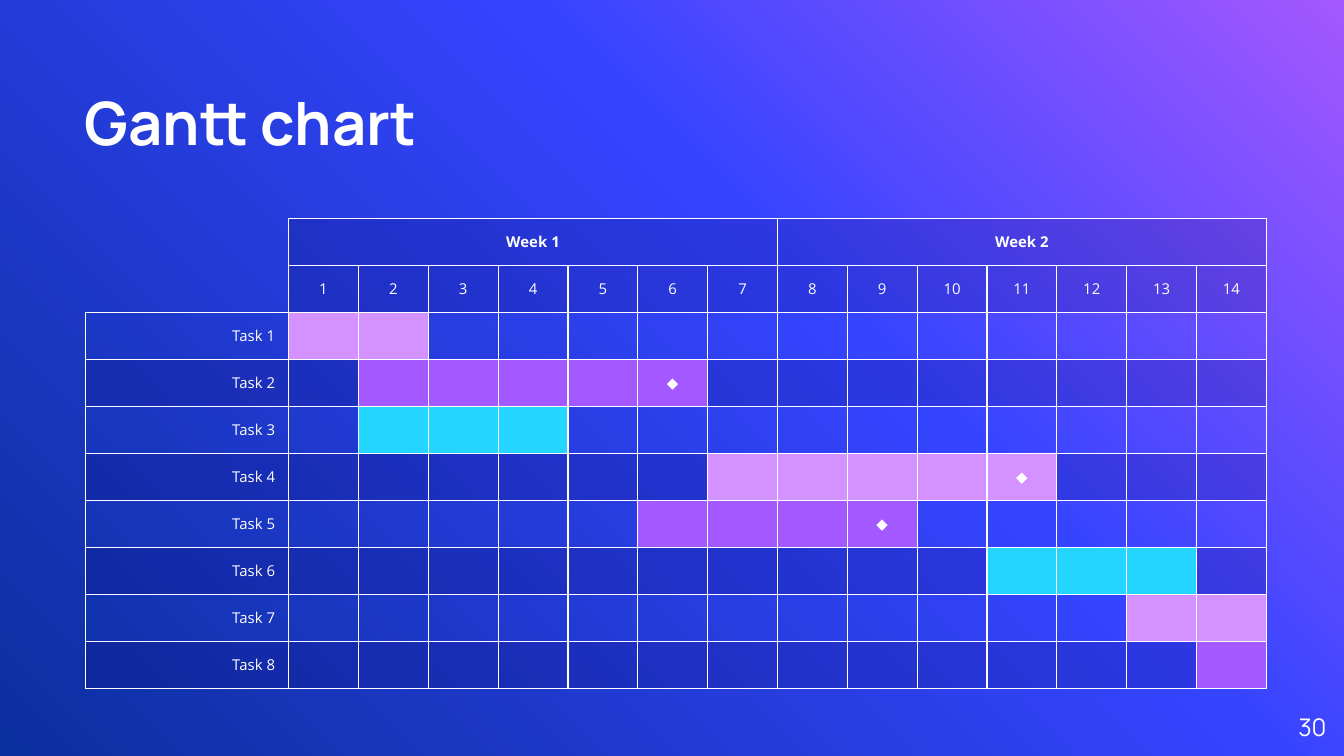
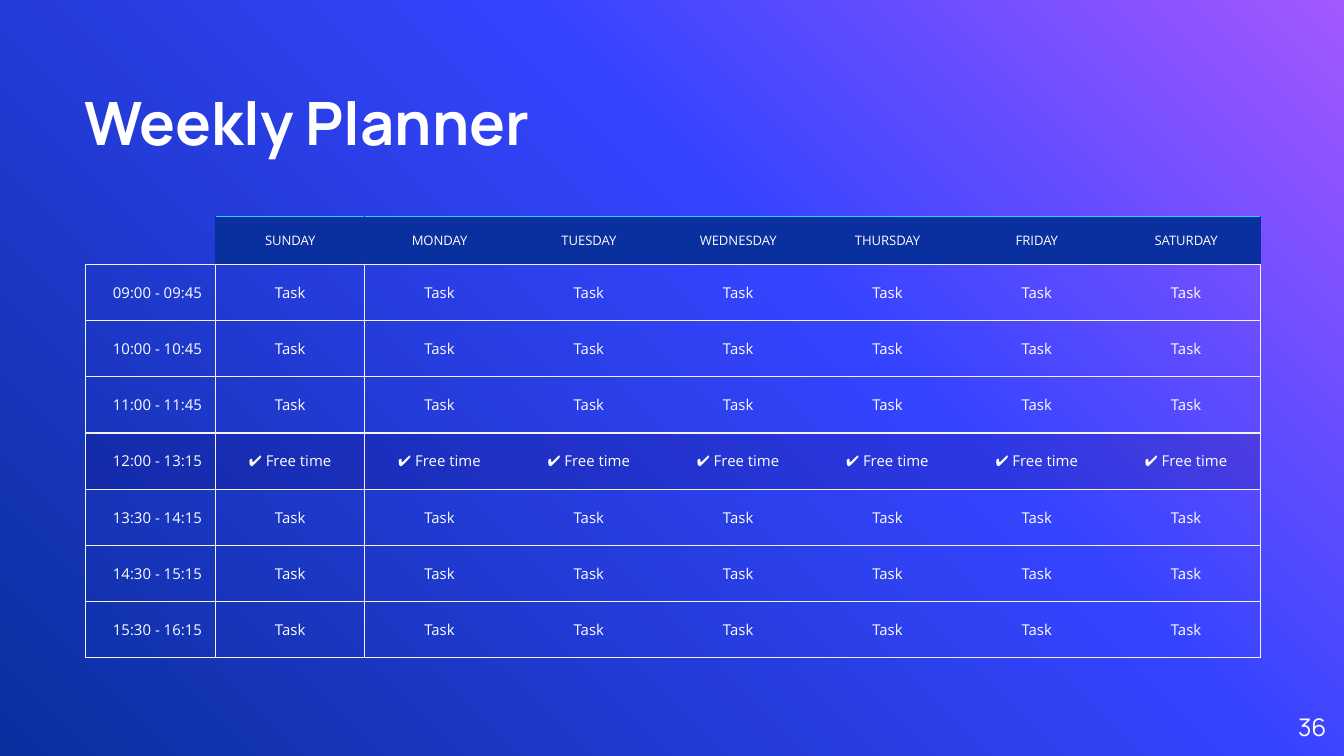
"""Build a Gantt chart slide and a weekly planner slide."""
from lxml import etree
from pptx import Presentation
from pptx.dml.color import RGBColor
from pptx.enum import text
from pptx.oxml import ns
from pptx.util import Pt

WHITE = RGBColor(0xFF, 0xFF, 0xFF)
PALE = RGBColor(0xF3, 0xF3, 0xF3)
NAVY = RGBColor(0x0A, 0x2F, 0x9E)
BLUE = RGBColor(0x35, 0x44, 0xFF)
VIOLET = RGBColor(0xA4, 0x58, 0xFF)
LILAC = RGBColor(0xD3, 0x92, 0xFF)
CYAN = RGBColor(0x24, 0xD6, 0xFF)
SHADE = RGBColor(0x05, 0x00, 0x60)
PLAIN = "{2D5ABB26-0587-4C30-8999-92F81FD0307C}"
LEFT, MID, RIGHT = text.PP_ALIGN.LEFT, text.PP_ALIGN.CENTER, text.PP_ALIGN.RIGHT
BASE, CORE = text.MSO_ANCHOR.BOTTOM, text.MSO_ANCHOR.MIDDLE


def make_grid(slide, left, top, cols, rows):
    """Add an unstyled table with the given column widths and row heights."""
    frame = slide.shapes.add_table(len(rows), len(cols), Pt(left), Pt(top),
                                   Pt(sum(cols)), Pt(sum(rows)))
    grid = frame.table
    grid.first_row = grid.horz_banding = False
    grid._tbl.tblPr.find(ns.qn("a:tableStyleId")).text = PLAIN
    for col, width in zip(grid.columns, cols):
        col.width = Pt(width)
    for row, height in zip(grid.rows, rows):
        row.height = Pt(height)
    return grid


def set_cell(cell, words, size, align, pad, fill, edges, bold=False):
    """Write a cell and set its margins, fill and edges, keyed L, R, T, B."""
    cell.text = words
    cell.vertical_anchor = CORE
    cell.margin_left = cell.margin_right = Pt(7.2)
    cell.margin_top = cell.margin_bottom = Pt(pad)
    para = cell.text_frame.paragraphs[0]
    para.alignment = align
    font = para.font
    font.name, font.size, font.bold = "Open Sans", Pt(size), bold
    font.color.rgb = WHITE
    if fill is None:
        cell.fill.background()
    else:
        cell.fill.solid()
        cell.fill.fore_color.rgb = fill
    props = cell._tc.get_or_add_tcPr()
    if fill == SHADE:
        tint = props.find(".//" + ns.qn("a:srgbClr"))
        etree.SubElement(tint, ns.qn("a:alpha"), val="18000")
    sides = [side for side in "LRTB" if side in edges]
    for spot, side in enumerate(sides):
        line = etree.Element(ns.qn("a:ln" + side), w=str(Pt(0.75)))
        paint = etree.SubElement(line, ns.qn("a:solidFill"))
        etree.SubElement(paint, ns.qn("a:srgbClr"), val=str(edges[side]))
        props.insert(spot, line)


deck = Presentation()
deck.slide_width, deck.slide_height = Pt(720), Pt(405)
slides = []
for title, number in (("Gantt chart", "30"), ("Weekly Planner", "36")):
    slide = deck.slides.add_slide(deck.slide_layouts[6])
    slides.append(slide)
    back = slide.background.fill
    back.gradient()
    back.gradient_angle = 225
    stops = slide._element.find(".//" + ns.qn("a:gsLst"))
    for stop in list(stops):
        stops.remove(stop)
    for pos, color in ((0, VIOLET), (39, BLUE), (100, NAVY)):
        stop = etree.SubElement(stops, ns.qn("a:gs"), pos=str(pos * 1000))
        etree.SubElement(stop, ns.qn("a:srgbClr"), val=str(color))
    for words, place, size, bold, align, anchor in (
            (title, (45.4, 16.6, 473.8, 67.7), 32, True, LEFT, BASE),
            (number, (667.4, 373.7, 43.2, 31), 13, False, RIGHT, CORE)):
        box = slide.shapes.add_textbox(*map(Pt, place))
        frame = box.text_frame
        frame.word_wrap = True
        frame.vertical_anchor = anchor
        frame.margin_left = frame.margin_right = 0
        frame.margin_top = frame.margin_bottom = 0
        para = frame.paragraphs[0]
        para.text, para.alignment = words, align
        font = para.font
        font.name, font.size, font.bold = "Manrope", Pt(size), bold
        font.color.rgb = WHITE

gantt, week = slides

DAYS = 14
BARS = [(1, 2, LILAC, False), (2, 6, VIOLET, True), (2, 4, CYAN, False),
        (7, 11, LILAC, True), (6, 9, VIOLET, True), (11, 13, CYAN, False),
        (13, 14, LILAC, False), (14, 14, VIOLET, False)]
frame = dict.fromkeys("LRTB", WHITE)
grid = make_grid(gantt, 45.8, 117, [108.8] + [37.43] * DAYS, [25.18] * 10)
set_cell(grid.cell(0, 0), "", 8, RIGHT, 3.6, None, {"R": WHITE})
set_cell(grid.cell(1, 0), "", 8, RIGHT, 3.6, None, {"R": WHITE, "B": WHITE})
for day in range(1, DAYS + 1):
    label = f"Week {day // 7 + 1}" if day % 7 == 1 else ""
    set_cell(grid.cell(0, day), label, 8, MID, 3.6, SHADE, frame, True)
    set_cell(grid.cell(1, day), str(day), 8, MID, 3.6, SHADE, frame)
for day in (1, 8):
    grid.cell(0, day).merge(grid.cell(0, day + 6))
for task, (start, end, color, goal) in enumerate(BARS, 1):
    band = None if task % 2 else SHADE
    set_cell(grid.cell(task + 1, 0), f"Task {task}", 8, RIGHT, 3.6, band, frame)
    for day in range(1, DAYS + 1):
        mark = "◆" if goal and day == end else ""
        fill = color if start <= day <= end else band
        set_cell(grid.cell(task + 1, day), mark, 8, MID, 3.6, fill, frame)

NAMES = ["SUNDAY", "MONDAY", "TUESDAY", "WEDNESDAY", "THURSDAY", "FRIDAY", "SATURDAY"]
TIMES = ["09:00 - 09:45", "10:00 - 10:45", "11:00 - 11:45", "12:00 - 13:15",
         "13:30 - 14:15", "14:30 - 15:15", "15:30 - 16:15"]
last = len(NAMES)
frame = dict.fromkeys("LRTB", PALE)
grid = make_grid(week, 45.8, 115.8, [69.7] + [80] * last, [25.9] + [30.13] * len(TIMES))
set_cell(grid.cell(0, 0), "", 7, RIGHT, 7.2, None, {"R": NAVY, "B": PALE})
for col, name in enumerate(NAMES, 1):
    edges = {"T": CYAN, "B": PALE}
    if col in (1, last):
        edges["L" if col == 1 else "R"] = NAVY
    set_cell(grid.cell(0, col), name, 7, MID, 7.2, NAVY, edges)
for row, time in enumerate(TIMES, 1):
    free = time.startswith("12")
    fill = SHADE if free else None
    words = "✔ Free time" if free else "Task"
    set_cell(grid.cell(row, 0), time, 8, RIGHT, 7.2, fill, frame)
    for col in range(1, last + 1):
        edges = {"T": PALE, "B": PALE}
        if col in (1, last):
            edges["L" if col == 1 else "R"] = PALE
        set_cell(grid.cell(row, col), words, 8, MID, 7.2, fill, edges)

deck.save("out.pptx")
